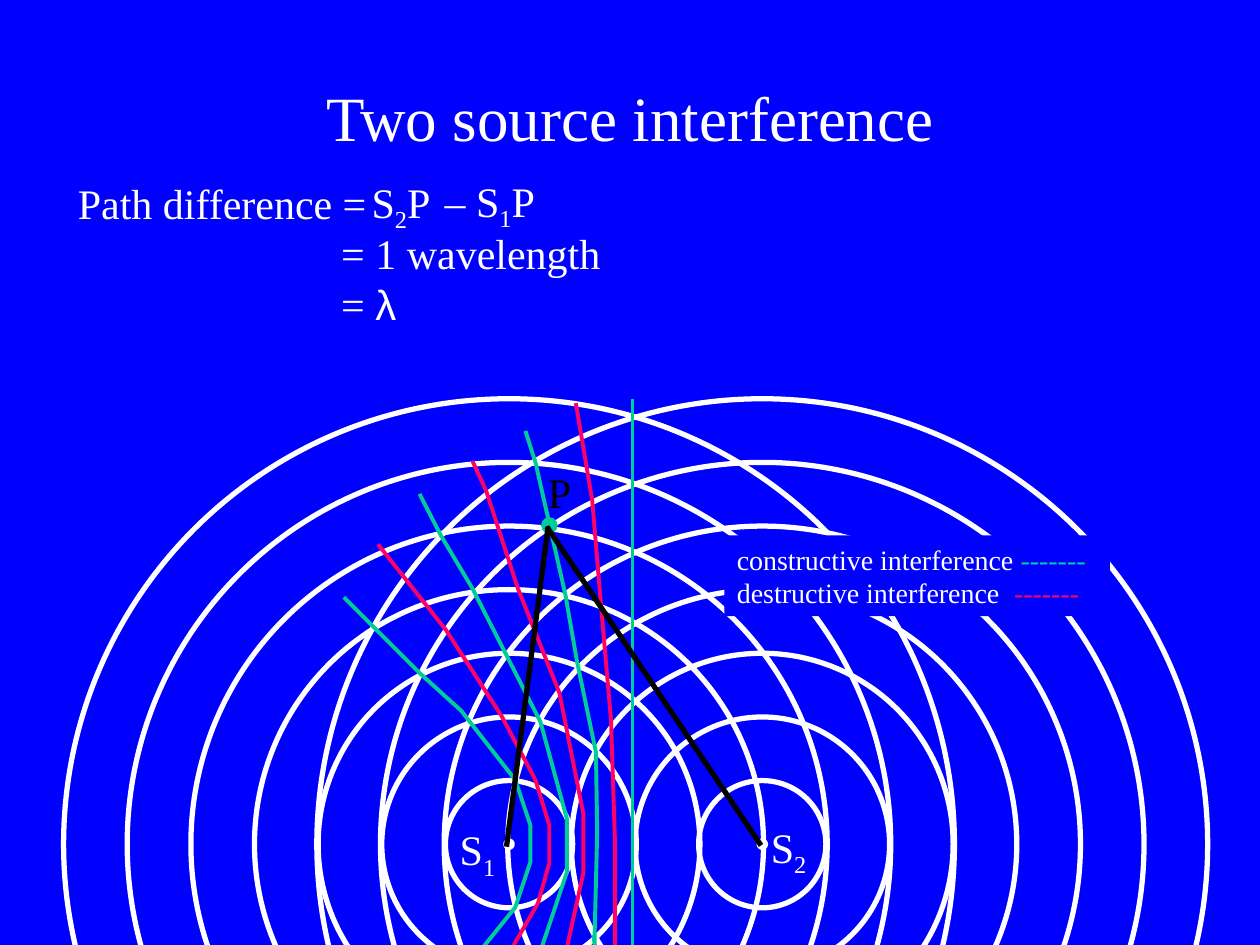
from lxml.etree import SubElement
from pptx import Presentation
from pptx.dml.color import RGBColor
from pptx.enum.shapes import MSO_CONNECTOR, MSO_SHAPE
from pptx.enum.text import MSO_ANCHOR, PP_ALIGN
from pptx.oxml.ns import qn
from pptx.util import Pt

PX = 9144  # EMU per px, 100 px to the inch
HUES = {"back": "0000FF", "text": "FFFFFF", "ray": "000000",
        "bright": "00CC99", "dark": "FF0066"}


def hue(name):
    return RGBColor.from_string(HUES[name])


def emu(*sizes):
    return [int(size * PX) for size in sizes]


def write(para, text, size=24, color="text", face="Times New Roman", sub=False):
    run = para.add_run()
    run.text = text
    run.font.size = Pt(size)
    run.font.name = face
    run.font.color.rgb = hue(color)
    if sub:
        run.font._element.set("baseline", "-25000")


class Board:
    def __init__(self, deck):
        self.slide = deck.slides.add_slide(deck.slide_layouts[5])
        self.shapes = self.slide.shapes
        fill = self.slide.background.fill
        fill.solid()
        fill.fore_color.rgb = hue("back")

    def title(self, text, x, y, w, h):
        head = self.shapes.title
        head.left, head.top, head.width, head.height = emu(x, y, w, h)
        frame = head.text_frame
        frame.vertical_anchor = MSO_ANCHOR.MIDDLE
        para = frame.paragraphs[0]
        para.alignment = PP_ALIGN.CENTER
        write(para, text, size=36)

    def label(self, x, y, w, h, *runs):
        """Add a one-line text box; each run is (text, format)."""
        frame = self.shapes.add_textbox(*emu(x, y, w, h)).text_frame
        frame.word_wrap = True
        for text, form in runs:
            write(frame.paragraphs[0], text, **form)

    def ring(self, x, y, size, color="text", width=3, full=False):
        """Add a circle round the centre (x, y)."""
        ring = self.shapes.add_shape(
            MSO_SHAPE.OVAL, *emu(x - size / 2, y - size / 2, size, size))
        ring.shadow.inherit = False
        if full:
            ring.fill.solid()
            ring.fill.fore_color.rgb = hue(color)
        else:
            ring.fill.background()
        ring.line.color.rgb = hue(color)
        ring.line.width = Pt(width)

    def line(self, start, end, color, width):
        line = self.shapes.add_connector(
            MSO_CONNECTOR.STRAIGHT, *emu(*start, *end))
        line.line.color.rgb = hue(color)
        line.line.width = Pt(width)
        SubElement(line._element.spPr, qn("a:effectLst"))

    def curve(self, points, color):
        pen = self.shapes.build_freeform(*points[0], scale=PX)
        pen.add_line_segments(points[1:], close=False)
        curve = pen.convert_to_shape()
        curve.shadow.inherit = False
        curve.fill.background()
        curve.line.color.rgb = hue(color)
        curve.line.width = Pt(2.25)

    def legend(self, x, y, w, h, rows, stop):
        box = self.shapes.add_shape(MSO_SHAPE.RECTANGLE, *emu(x, y, w, h))
        box.shadow.inherit = False
        box.fill.solid()
        box.fill.fore_color.rgb = hue("back")
        box.line.fill.background()
        frame = box.text_frame
        frame.word_wrap = True
        for i, (text, color) in enumerate(rows):
            para = frame.add_paragraph() if i else frame.paragraphs[0]
            para.alignment = PP_ALIGN.LEFT
            tabs = SubElement(para._p.get_or_add_pPr(), qn("a:tabLst"))
            SubElement(tabs, qn("a:tab"), pos=str(stop * PX), algn="l")
            write(para, text, size=16)
            write(para, "-------", size=16, color=color)


CURVES = [
    ("bright", [(471, 742), (472, 750), (472, 740), (474, 660), (473, 597),
                (458, 525), (451, 485), (449, 473), (425, 367), (417, 342)]),
    ("bright", [(425, 767), (450, 692), (450, 650), (429, 573), (375, 467),
                (350, 425), (333, 392)]),
    ("bright", [(372, 766), (409, 720), (421, 684), (421, 655), (409, 619),
                (366, 564), (334, 535), (273, 474)]),
    ("dark", [(488, 750), (488, 666), (485, 572), (477, 480), (470, 397),
              (457, 320)]),
    ("dark", [(450, 752), (463, 693), (463, 646), (444, 550), (411, 467),
              (386, 390), (375, 366)]),
    ("dark", [(406, 753), (427, 717), (436, 685), (436, 655), (425, 619),
              (398, 568), (354, 500), (300, 432)]),
]


def main():
    deck = Presentation()
    deck.slide_width, deck.slide_height = emu(1000, 750)
    board = Board(deck)
    board.title("Two source interference", 75, 67, 850, 50)

    for x in (404, 605):
        for size in [5] + [101 * n for n in range(1, 8)]:
            board.ring(x, 670, size)
    board.line((502, 317), (502, 750), "bright", 2.25)
    for color, points in CURVES:
        board.curve(points, color)

    board.legend(575, 425, 306, 64, [("constructive interference ", "bright"),
                                     ("destructive interference\t", "dark")], 220)
    sub = {"sub": True}
    board.label(52, 136, 253, 50, ("Path difference =", {}))
    board.ring(436, 417, 12, "bright", 0.75, full=True)
    board.label(285, 135, 75, 56, ("S", {}), ("2", sub), ("P", {}))
    board.label(343, 134, 104, 56, ("– S", {}), ("1", sub), ("P", {}))
    board.label(355, 649, 63, 56, ("S", {}), ("1", sub))
    board.label(602, 647, 60, 56, ("S", {}), ("2", sub))
    board.label(425, 365, 54, 50, ("P", {"color": "ray"}))
    board.line((402, 672), (435, 418), "ray", 3)
    board.line((604, 671), (434, 418), "ray", 3)
    board.label(261, 176, 239, 50, ("= 1 wavelength", {}))
    board.label(261, 216, 247, 50, ("= ", {}), ("λ", {"face": "Arial"}))
    deck.save("out.pptx")


if __name__ == "__main__":
    main()
